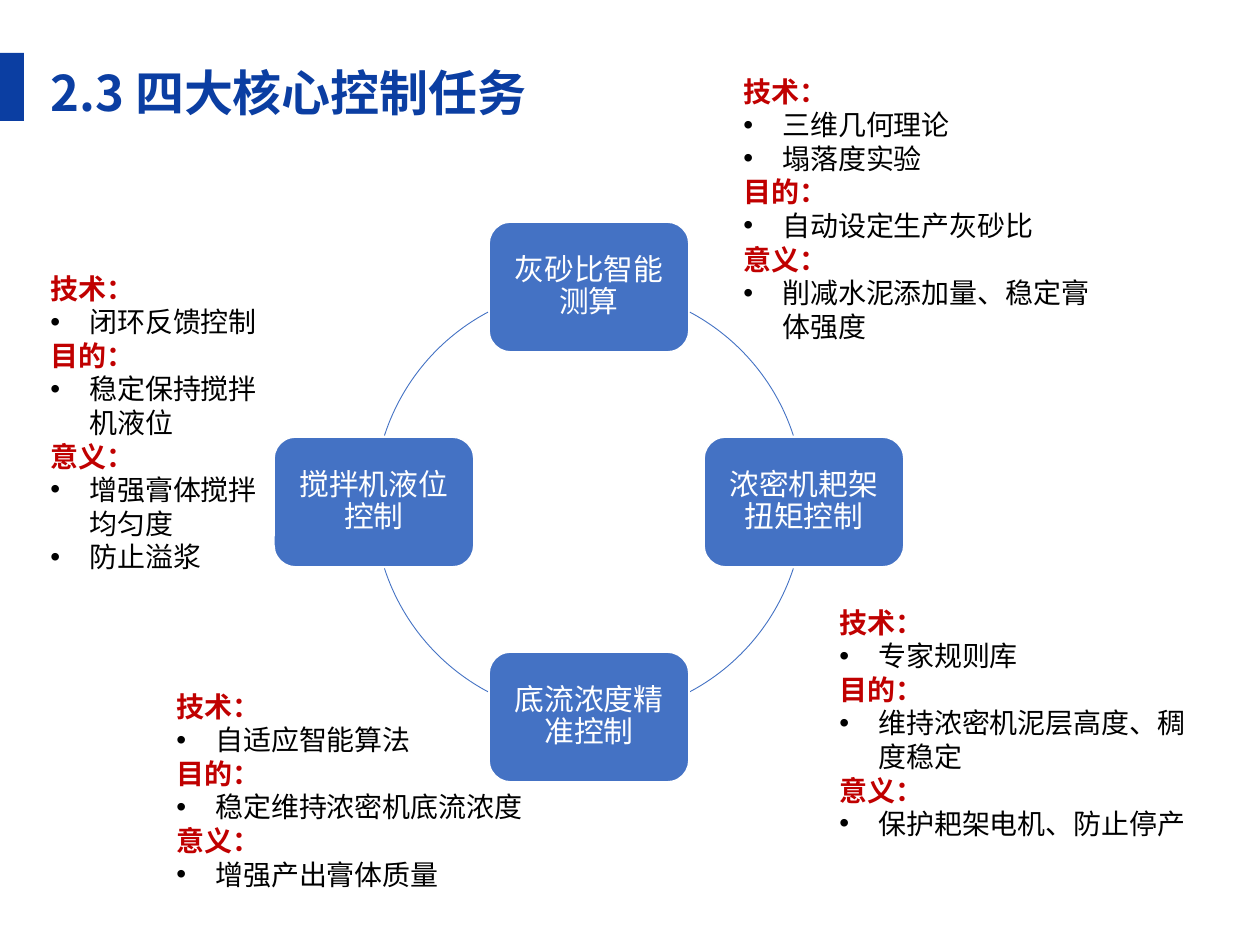
import pptx
import pptx.dml.color
import pptx.enum.shapes
import pptx.enum.text
import pptx.oxml.ns
import pptx.util
from lxml import etree

EMU_PER_PX = 914400 / 126
FONT = "Noto Sans CJK SC"
NAVY, BLUE, RED, BLACK, WHITE = "0B3EA2", "4472C4", "C00000", "000000", "FFFFFF"
SHAPES = pptx.enum.shapes.MSO_SHAPE
ANCHORS = pptx.enum.text.MSO_ANCHOR

CENTER_X, CENTER_Y, RADIUS = 589, 502, 215
NODE_WIDTH, NODE_HEIGHT = 200, 130
INDENT = 39

# Label and direction from the centre of the ring
TASKS = [
    ("灰砂比智能测算", 0, -1),
    ("浓密机耙架扭矩控制", 1, 0),
    ("底流浓度精准控制", 0, 1),
    ("搅拌机液位控制", -1, 0),
]
ARC_ANGLES = [(298, 342), (18, 62), (118, 162), (198, 242)]

# Box in px, then the points under each heading
NOTES = [
    ((38, 265, 251, 318),
     ["闭环反馈控制"], ["稳定保持搅拌机液位"], ["增强膏体搅拌均匀度", "防止溢浆"]),
    ((164, 683, 375, 217),
     ["自适应智能算法"], ["稳定维持浓密机底流浓度"], ["增强产出膏体质量"]),
    ((827, 599, 375, 251),
     ["专家规则库"], ["维持浓密机泥层高度、稠度稳定"], ["保护耙架电机、防止停产"]),
    ((731, 68, 375, 285),
     ["三维几何理论", "塌落度实验"], ["自动设定生产灰砂比"], ["削减水泥添加量、稳定膏体强度"]),
]
HEADINGS = ["技术：", "目的：", "意义："]


def px(length):
    return pptx.util.Emu(round(length * EMU_PER_PX))


def rgb(color):
    return pptx.dml.color.RGBColor.from_string(color)


def set_font(paragraph, size, color, bold=False):
    font = paragraph.font
    font.name, font.size, font.bold = FONT, pptx.util.Pt(size), bold
    font.color.rgb = rgb(color)
    latin = paragraph._p.pPr.find(".//" + pptx.oxml.ns.qn("a:latin"))
    east_asian = etree.Element(pptx.oxml.ns.qn("a:ea"), typeface=FONT)
    latin.addnext(east_asian)


def add_bullet(paragraph):
    properties = paragraph._p.get_or_add_pPr()
    properties.set("marL", str(px(INDENT)))
    properties.set("indent", str(-px(INDENT)))
    etree.SubElement(properties, pptx.oxml.ns.qn("a:buFont"), typeface="Arial")
    etree.SubElement(properties, pptx.oxml.ns.qn("a:buChar"), char="•")


def add_shape(page, kind, left, top, width, height, fill=None, line=None, weight=1):
    shape = page.shapes.add_shape(kind, px(left), px(top), px(width), px(height))
    shape.shadow.inherit = False
    for target, color in ((shape.fill, fill), (shape.line.fill, line)):
        if color:
            target.solid()
            target.fore_color.rgb = rgb(color)
        else:
            target.background()
    if line:
        shape.line.width = pptx.util.Pt(weight)
    return shape


def add_text_frame(page, left, top, width, height):
    box = page.shapes.add_textbox(px(left), px(top), px(width), px(height))
    box.text_frame.word_wrap = True
    return box.text_frame


def add_title(page):
    add_shape(page, SHAPES.RECTANGLE, 0, 53, 24, 68, NAVY)
    paragraph = add_text_frame(page, 38, 45, 508, 78).paragraphs[0]
    paragraph.text = "2.3 四大核心控制任务"
    paragraph.line_spacing = 1.2
    set_font(paragraph, 28, NAVY, True)


def add_task(page, label, across, down):
    node = add_shape(
        page, SHAPES.ROUNDED_RECTANGLE,
        CENTER_X + across * RADIUS - NODE_WIDTH / 2,
        CENTER_Y + down * RADIUS - NODE_HEIGHT / 2,
        NODE_WIDTH, NODE_HEIGHT, BLUE, WHITE)
    frame = node.text_frame
    frame.word_wrap = True
    frame.vertical_anchor = ANCHORS.MIDDLE
    frame.margin_left = frame.margin_right = px(15)
    frame.margin_top = frame.margin_bottom = px(15)
    paragraph = frame.paragraphs[0]
    paragraph.text = label
    paragraph.alignment = pptx.enum.text.PP_ALIGN.CENTER
    paragraph.line_spacing = 0.9
    paragraph.space_after = pptx.util.Pt(6)
    set_font(paragraph, 17, WHITE)


def add_arc(page, start, end):
    """Draw part of the ring, clockwise between two angles in degrees."""
    arc = add_shape(page, SHAPES.ARC, CENTER_X - RADIUS, CENTER_Y - RADIUS,
                    2 * RADIUS, 2 * RADIUS, line=BLUE, weight=0.5)
    for index, angle in enumerate((start, end)):
        # Angles are stored in 1/60000 degree, adjustments in 1/100000
        arc.adjustments[index] = angle * 0.6


def add_note(page, place, *groups):
    frame = add_text_frame(page, *place)
    lines = []
    for heading, points in zip(HEADINGS, groups):
        lines.append((heading, True))
        lines.extend((point, False) for point in points)
    for index, (text, is_heading) in enumerate(lines):
        paragraph = frame.add_paragraph() if index else frame.paragraphs[0]
        paragraph.text = text
        if not is_heading:
            add_bullet(paragraph)
        set_font(paragraph, 16, RED if is_heading else BLACK, is_heading)


def main():
    deck = pptx.Presentation()
    deck.slide_width, deck.slide_height = px(1260), px(945)
    page = deck.slides.add_slide(deck.slide_layouts[6])
    add_title(page)
    for task, angles in zip(TASKS, ARC_ANGLES):
        add_task(page, *task)
        add_arc(page, *angles)
    for note in NOTES:
        add_note(page, *note)
    deck.save("out.pptx")


if __name__ == "__main__":
    main()
